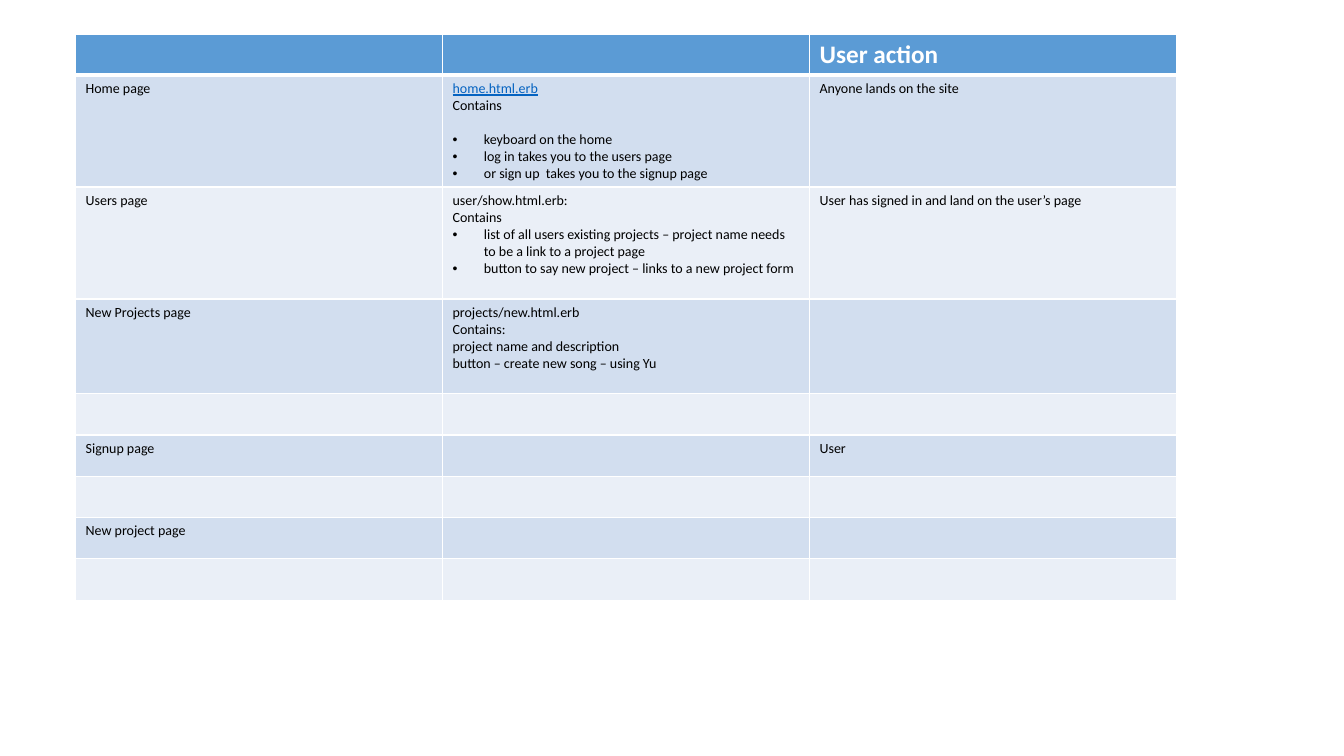
from lxml import etree
from pptx import Presentation
from pptx.dml.color import RGBColor
from pptx.oxml.ns import qn
from pptx.util import Inches, Pt

BLANK_LAYOUT = 6
BULLET = "\u2022 "
HEADER_FILL, ODD_FILL, EVEN_FILL = "5B9BD5", "D2DEEF", "EAEFF7"
WHITE, BLACK, LINK_BLUE = "FFFFFF", "000000", "0563C1"
COLUMN_WIDTH = 3.64
ROW_HEIGHTS = [0.4, 1.11, 1.11, 0.94] + [0.41] * 5

# Each cell is a list of paragraphs; a leading bullet marks a list item.
ROWS = [
    [[], [], ["User action"]],
    [["Home page"],
     ["home.html.erb", "Contains",
      BULLET + "keyboard on the home",
      BULLET + "log in takes you to the users page",
      BULLET + "or sign up  takes you to the signup page"],
     ["Anyone lands on the site"]],
    [["Users page"],
     ["user/show.html.erb:", "Contains",
      BULLET + "list of all users existing projects – project name needs "
      "to be a link to a project page",
      BULLET + "button to say new project – links to a new project form"],
     ["User has signed in and land on the user’s page"]],
    [["New Projects page"],
     ["projects/new.html.erb", "Contains:", "project name and description",
      "button – create new song – using Yu"],
     []],
    [[], [], []],
    [["Signup page"], [], ["User"]],
    [[], [], []],
    [["New project page"], [], []],
    [[], [], []],
]


def color(hex_string):
    """Return the colour for a hex string."""
    return RGBColor.from_string(hex_string)


def add_border(cell, side, width):
    """Draw a white border on one side of a cell, width in points."""
    properties = cell._tc.get_or_add_tcPr()
    line = etree.SubElement(properties, qn("a:ln" + side), w=str(Pt(width)))
    fill = etree.SubElement(line, qn("a:solidFill"))
    etree.SubElement(fill, qn("a:srgbClr"), val=WHITE)


presentation = Presentation()
presentation.slide_width = Inches(13.33)
presentation.slide_height = Inches(7.5)
slide = presentation.slides.add_slide(presentation.slide_layouts[BLANK_LAYOUT])

table = slide.shapes.add_table(
    len(ROWS), len(ROWS[0]), Inches(0.75), Inches(0.34),
    Inches(COLUMN_WIDTH * len(ROWS[0])), Inches(sum(ROW_HEIGHTS))).table
for column in table.columns:
    column.width = Inches(COLUMN_WIDTH)

for row_index, row in enumerate(ROWS):
    table.rows[row_index].height = Inches(ROW_HEIGHTS[row_index])
    is_header = row_index == 0
    row_fill = ODD_FILL if row_index % 2 else EVEN_FILL
    for column_index, texts in enumerate(row):
        cell = table.cell(row_index, column_index)
        for side in "LRTB":
            below_header = (row_index, side) in [(0, "B"), (1, "T")]
            add_border(cell, side, 3 if below_header else 1)
        cell.fill.solid()
        cell.fill.fore_color.rgb = color(HEADER_FILL if is_header else row_fill)

        for index, text in enumerate(texts):
            frame = cell.text_frame
            paragraph = frame.add_paragraph() if index else frame.paragraphs[0]
            if text.startswith(BULLET):
                properties = paragraph._p.get_or_add_pPr()
                properties.set("marL", str(Inches(0.31)))
                properties.set("indent", str(-Inches(0.31)))
                if text.endswith("keyboard on the home"):
                    paragraph.space_before = Pt(12)
                etree.SubElement(properties, qn("a:buFont"), typeface="Arial")
                etree.SubElement(properties, qn("a:buChar"), char=BULLET.strip())
            run = paragraph.add_run()
            run.text = text.removeprefix(BULLET)
            is_link = text == "home.html.erb"
            run.font.name = "Calibri"
            run.font.size = Pt(18 if is_header else 10)
            run.font.bold = is_header
            run.font.underline = is_link
            text_color = WHITE if is_header else LINK_BLUE if is_link else BLACK
            run.font.color.rgb = color(text_color)

presentation.save("out.pptx")
